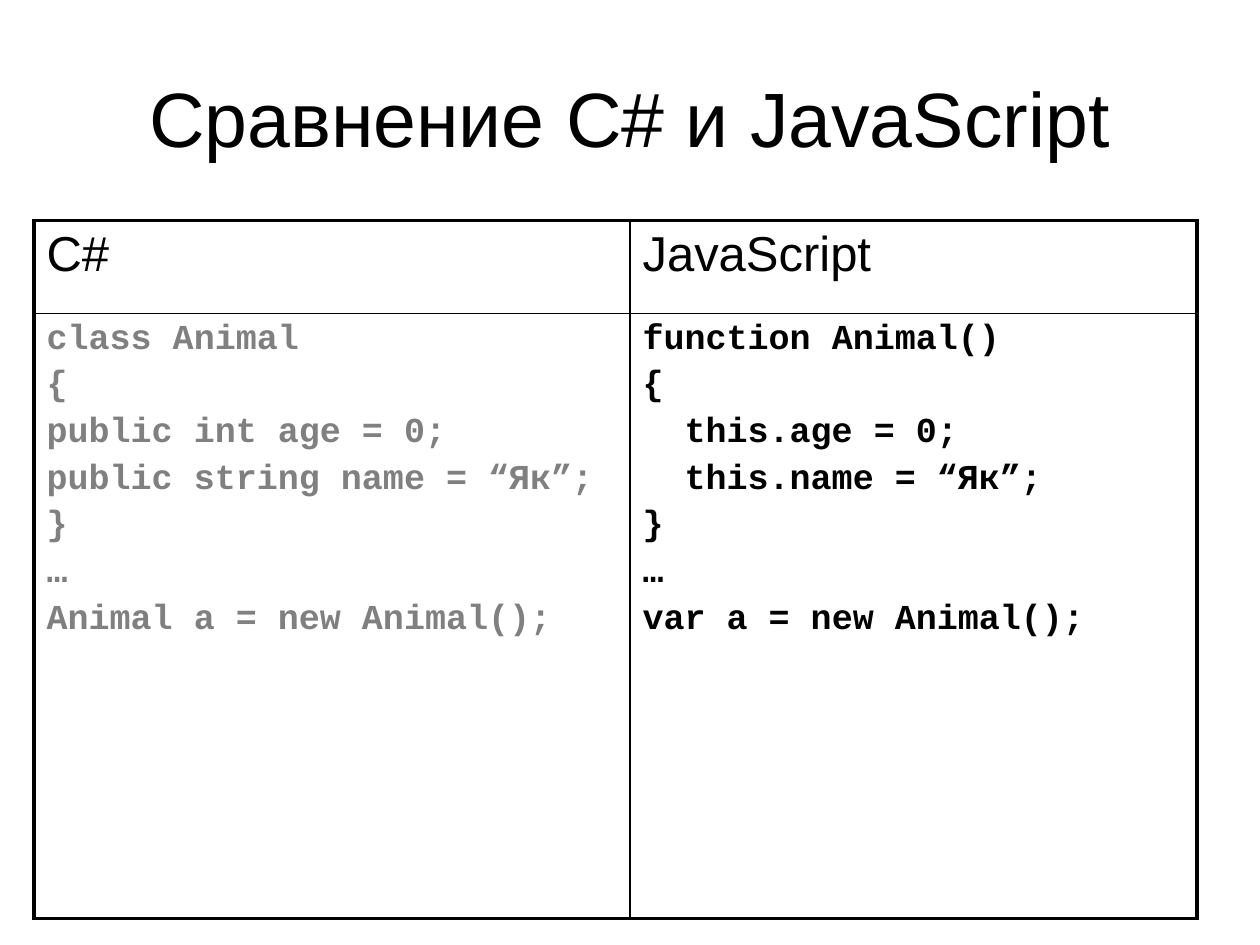
from dataclasses import dataclass
from lxml.etree import SubElement as add_element
from pptx import Presentation
from pptx.dml.color import RGBColor as Color
from pptx.enum.text import MSO_ANCHOR as Anchor, PP_ALIGN as Align
from pptx.oxml.ns import qn
from pptx.util import Pt


@dataclass(frozen=True)
class Theme:
    """Colours, fonts and sizes of the slide."""
    ink: str = "000000"
    muted: str = "808080"
    paper: str = "FFFFFF"
    text_font: str = "Arial"
    code_font: str = "Courier New"
    title_size: float = 44
    head_size: float = 28
    code_size: float = 20
    code_gap: float = 4
    code_indent: float = 24
    outer_line: float = 2.25
    inner_line: float = 1


THEME = Theme()
TITLE = "Сравнение C# и JavaScript"
TITLE_BOX = (36, 21.6, 648, 90)
TABLE_BOX = (19.44, 126, 664.56, 398.88)
FIRST_COLUMN, HEAD_ROW = 340.56, 53.28

# Each language: heading, code colour, code lines as (indent level, text)
LANGUAGES = [
    ("C#", THEME.muted, [
        (0, "class Animal"),
        (0, "{"),
        (0, "public int age = 0;"),
        (0, "public string name = “Як”;"),
        (0, "}"),
        (0, "…"),
        (0, "Animal a = new Animal();"),
    ]),
    ("JavaScript", THEME.ink, [
        (0, "function Animal()"),
        (0, "{"),
        (1, "this.age = 0;"),
        (1, "this.name = “Як”;"),
        (0, "}"),
        (0, "…"),
        (0, "var a = new Animal();"),
    ]),
]


def apply_format(target, values):
    """Set every attribute named in a dict of format values."""
    for name, value in values.items():
        setattr(target, name, value)


def write_span(para, text, color, **values):
    """Add one run of text with its font format."""
    span = para.add_run()
    span.text = text
    apply_format(span.font, values)
    span.font.color.rgb = Color.from_string(color)


def place_title(page, box):
    """Move the title placeholder into the box and fill it."""
    title = page.shapes.title
    left, top, width, height = map(Pt, box)
    apply_format(title, dict(left=left, top=top, width=width, height=height))
    frame = title.text_frame
    apply_format(frame, dict(word_wrap=True, vertical_anchor=Anchor.MIDDLE))
    para = frame.paragraphs[0]
    para.alignment = Align.CENTER
    write_span(para, TITLE, THEME.ink,
               name=THEME.text_font, size=Pt(THEME.title_size))


def draw_borders(cell, outer_sides):
    """Line all four sides, heavier on the outer edge of the table."""
    cell.fill.background()
    properties = cell._tc.get_or_add_tcPr()
    for index, side in enumerate("LRTB"):
        weight = THEME.outer_line if side in outer_sides else THEME.inner_line
        line = add_element(properties, qn(f"a:ln{side}"), w=str(Pt(weight)))
        fill = add_element(line, qn("a:solidFill"))
        add_element(fill, qn("a:srgbClr"), val=THEME.ink)
        properties.insert(index, line)


def write_code(cell, lines, color):
    """Write code lines as paragraphs, indented by level."""
    frame = cell.text_frame
    for number, (level, text) in enumerate(lines):
        para = frame.add_paragraph() if number else frame.paragraphs[0]
        para.space_before = Pt(THEME.code_gap if number else 0)
        if level:
            indent = Pt(level * THEME.code_indent)
            para._p.get_or_add_pPr().set("marL", str(indent))
        write_span(para, text, color, name=THEME.code_font,
                   size=Pt(THEME.code_size), bold=True)


def place_comparison(page, box):
    """Build the two-column language table inside the box."""
    left, top, width, height = box
    table = page.shapes.add_table(2, len(LANGUAGES), *map(Pt, box)).table
    apply_format(table, dict(first_row=False, horz_banding=False))
    for column, size in zip(table.columns, (FIRST_COLUMN, width - FIRST_COLUMN)):
        column.width = Pt(size)
    for row, size in zip(table.rows, (HEAD_ROW, height - HEAD_ROW)):
        row.height = Pt(size)
    for index, (heading, color, lines) in enumerate(LANGUAGES):
        head, body = table.cell(0, index), table.cell(1, index)
        write_span(head.text_frame.paragraphs[0], heading, THEME.ink,
                   name=THEME.text_font, size=Pt(THEME.head_size))
        write_code(body, lines, color)
        for cell, edge in ((head, "T"), (body, "B")):
            draw_borders(cell, edge + "LR"[index])


def build_deck():
    """Create the one-slide deck and save it."""
    deck = Presentation()
    apply_format(deck, dict(slide_width=Pt(720), slide_height=Pt(540)))
    page = deck.slides.add_slide(deck.slide_layouts.get_by_name("Title Only"))
    page.background.fill.solid()
    page.background.fill.fore_color.rgb = Color.from_string(THEME.paper)
    place_title(page, TITLE_BOX)
    place_comparison(page, TABLE_BOX)
    deck.save("out.pptx")


build_deck()
